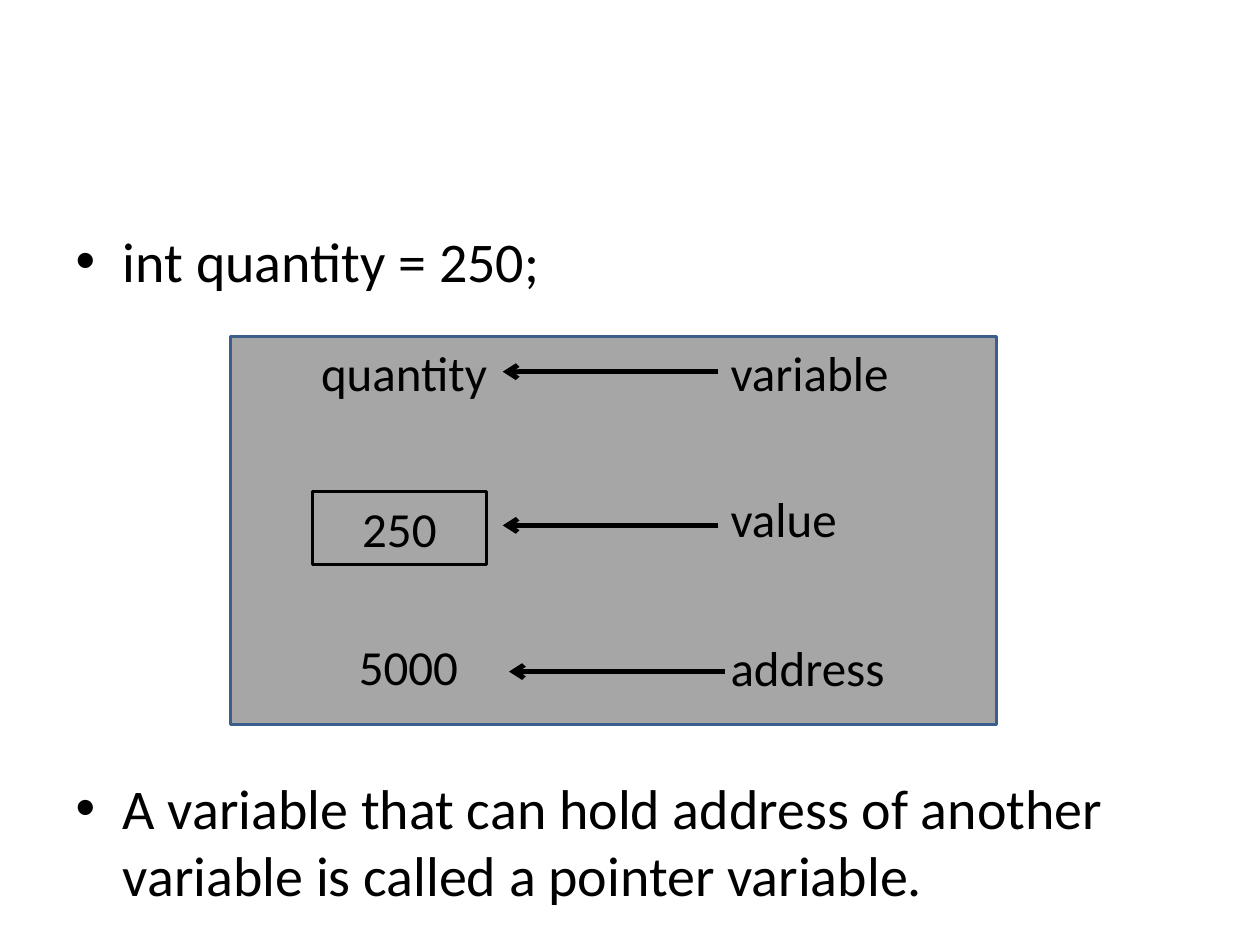
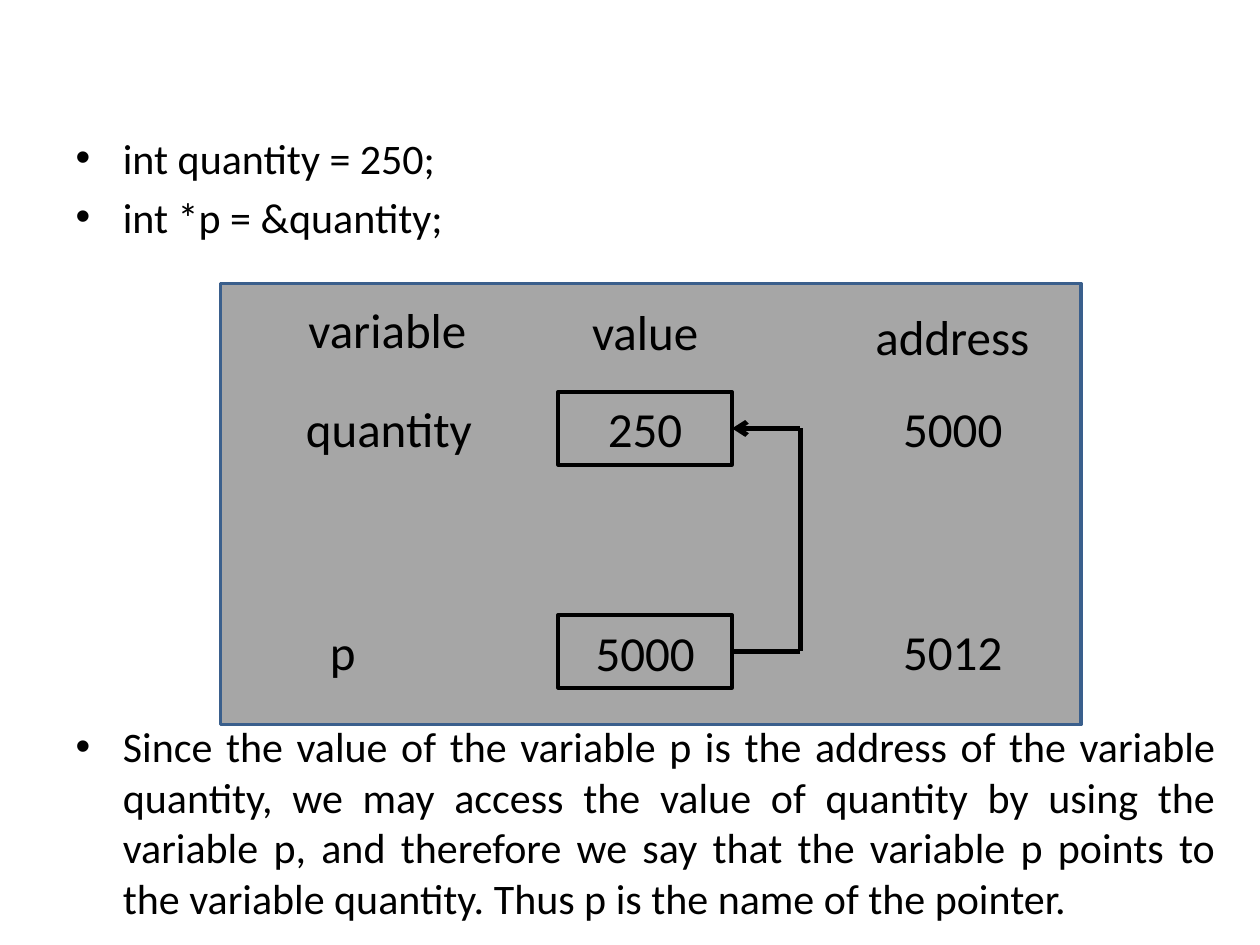
from lxml import etree
from pptx import Presentation
from pptx.dml.color import RGBColor
from pptx.enum.shapes import MSO_CONNECTOR, MSO_SHAPE
from pptx.enum.text import MSO_ANCHOR, MSO_AUTO_SIZE, PP_ALIGN
from pptx.oxml.ns import qn
from pptx.util import Pt

PX = 9144
FONT = "Calibri"
COLORS = {"ink": "000000", "panel": "A6A6A6", "border": "3A5F8C"}
LABEL_W = {"quantity": 154, "variable": 147, "value": 105, "address": 144,
           "5000": 100, "5012": 100, "p": 41}
ROW_H = 57
CELL_W, CELL_H = 138, 58
DIAGRAM_GAP = Pt(274)
RECT = MSO_SHAPE.RECTANGLE
STRAIGHT = MSO_CONNECTOR.STRAIGHT
CENTER, JUSTIFY = PP_ALIGN.CENTER, PP_ALIGN.JUSTIFY
MIDDLE = MSO_ANCHOR.MIDDLE
NO_FIT, GROW = MSO_AUTO_SIZE.NONE, MSO_AUTO_SIZE.SHAPE_TO_FIT_TEXT
LEFT, RIGHT = 1, 3


def px(*values):
    return [v * PX for v in values]


def color(name):
    return RGBColor.from_string(COLORS[name])


def style(p, size):
    p.font.name = FONT
    p.font.size = Pt(size)
    p.font.color.rgb = color("ink")


def add_slide(prs):
    s = prs.slides.add_slide(prs.slide_layouts[1])
    title = s.shapes.title.element
    title.getparent().remove(title)
    return s


def fill_body(s, box, size, statements, conclusion, align=None):
    body = s.placeholders[1]
    body.left, body.top, body.width, body.height = px(*box)
    tf = body.text_frame
    tf.auto_size = NO_FIT
    tf.text = "\n".join(statements + [conclusion])
    for p in tf.paragraphs:
        style(p, size)
    p = tf.paragraphs[-1]
    p.space_before = DIAGRAM_GAP
    p.alignment = align


def add_rect(s, box, line, fill=None):
    sp = s.shapes.add_shape(RECT, *px(*box))
    sp.shadow.inherit = False
    sp.line.color.rgb = color(line)
    sp.line.width = Pt(2)
    if fill:
        sp.fill.solid()
        sp.fill.fore_color.rgb = color(fill)
    else:
        sp.fill.background()
    return sp


def add_panel(s, *box):
    add_rect(s, box, "border", "panel")


def add_cell(s, text, x, y):
    sp = add_rect(s, (x, y, CELL_W, CELL_H), "ink")
    tf = sp.text_frame
    tf.vertical_anchor = MIDDLE
    tf.text = text
    p = tf.paragraphs[0]
    p.alignment = CENTER
    style(p, 28)
    return sp


def add_label(s, text, x, y):
    tf = s.shapes.add_textbox(*px(x, y, LABEL_W[text], ROW_H)).text_frame
    tf.word_wrap = False
    tf.auto_size = GROW
    tf.text = text
    style(tf.paragraphs[0], 28)


def add_line(s, x1, y1, x2, y2, arrow=False):
    line = s.shapes.add_connector(STRAIGHT, *px(x1, y1, x2, y2))
    line.line.color.rgb = color("ink")
    line.line.width = Pt(2.75)
    if arrow:
        etree.SubElement(line.line._get_or_add_ln(), qn("a:tailEnd"), type="arrow")
    etree.SubElement(line.element.spPr, qn("a:effectLst"))
    return line


def build_variable_slide(prs):
    s = add_slide(prs)
    fill_body(s, (50, 175, 900, 550), 32, ["int quantity = 250;"],
              "A variable that can hold address of another variable "
              "is called a pointer variable.")
    add_panel(s, 183, 267, 608, 308)
    for text, y, arrow_x, arrow_y in (("variable", 267, 570, 295),
                                      ("value", 383, 570, 417),
                                      ("address", 501, 575, 533)):
        add_label(s, text, 570, y)
        add_line(s, arrow_x, arrow_y, arrow_x - 171, arrow_y, arrow=True)
    add_label(s, "quantity", 245, 267)
    add_cell(s, "250", 248, 390)
    add_label(s, "5000", 275, 500)


def build_pointer_slide(prs):
    s = add_slide(prs)
    fill_body(s, (50, 100, 925, 642), 24,
              ["int quantity = 250;", "int *p = &quantity;"],
              "Since the value of the variable p is the address of the variable "
              "quantity, we may access the value of quantity by using the "
              "variable p, and therefore we say that the variable p points to "
              "the variable quantity. Thus p is the name of the pointer.", JUSTIFY)
    add_panel(s, 175, 225, 683, 350)
    for text, x, y in (("variable", 235, 233), ("value", 460, 234),
                       ("address", 685, 238)):
        add_label(s, text, x, y)

    cells = []
    for name, name_x, value, address, y in (("quantity", 233, "250", "5000", 311),
                                            ("p", 252, "5000", "5012", 488)):
        add_label(s, name, name_x, y)
        cells.append(add_cell(s, value, 443, y))
        add_label(s, address, 707, y)

    target, pointer = cells
    cell_right, bend_x = 443 + CELL_W, 635
    target_y, pointer_y = 311 + CELL_H // 2, 488 + CELL_H // 2
    add_line(s, bend_x, target_y, cell_right, target_y,
             arrow=True).end_connect(target, RIGHT)
    add_line(s, bend_x, target_y, bend_x, pointer_y)
    add_line(s, bend_x, pointer_y, cell_right, pointer_y).end_connect(pointer, RIGHT)


def main():
    prs = Presentation()
    prs.slide_width, prs.slide_height = px(1000, 750)
    build_variable_slide(prs)
    build_pointer_slide(prs)
    prs.save("out.pptx")


if __name__ == "__main__":
    main()
